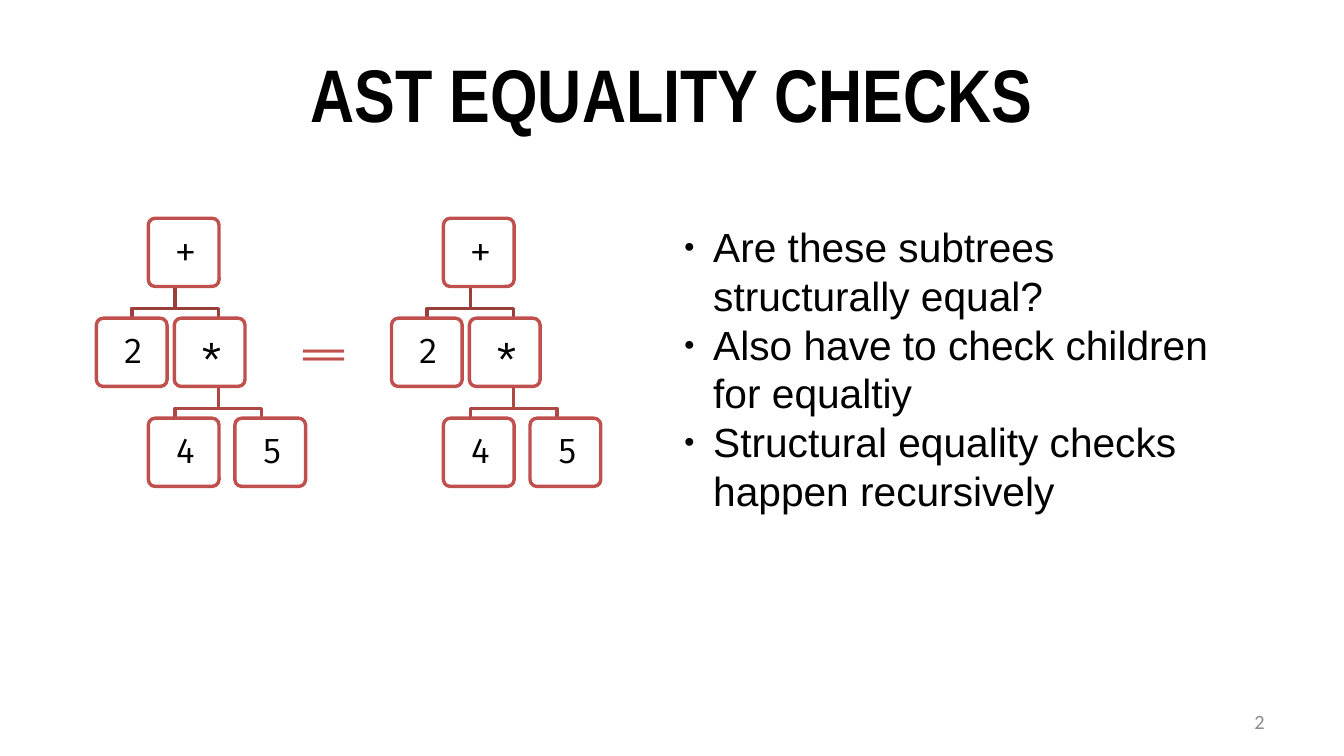
from typing import NamedTuple

from lxml.etree import SubElement
from pptx import Presentation
from pptx.dml.color import RGBColor
from pptx.enum.shapes import MSO_SHAPE as Shape
from pptx.enum.text import MSO_ANCHOR as Anchor, PP_ALIGN as Align
from pptx.oxml.ns import qn
from pptx.util import Inches, Pt

SLIDE_W, SLIDE_H = 11.02, 6.2
COL, ROW = 0.71, 0.82
NODE_W, NODE_H = 0.58, 0.56
ELBOW = 0.18
TREE_TOP = 1.79
TREE_LEFTS = (0.79, 3.21)
INK, RED, GREY, WHITE = "000000", "C0504D", "8B8B8B", "FFFFFF"
CODE = "Fira Code"


class Node(NamedTuple):
    label: str
    col: float
    row: int


class Link(NamedTuple):
    start: float
    end: float
    row: int
    color: str


class Label(NamedTuple):
    lines: tuple[str, ...]
    left: float
    top: float
    width: float
    height: float
    font: str
    size: int
    color: str = INK
    align: Align = Align.LEFT
    anchor: Anchor = Anchor.TOP
    bold: bool = False
    bullet: bool = False


NODES = (
    Node("+", 0.6, 0),
    Node("2", 0, 1),
    Node("*", 0.9, 1),
    Node("4", 0.6, 2),
    Node("5", 1.6, 2),
)
LINKS = (
    Link(1.41, 1.91, 1, "AE4845"),
    Link(1.41, 0.91, 1, "AE4845"),
    Link(0.91, 1.41, 0, "99403D"),
    Link(0.91, 0.41, 0, "99403D"),
)
BULLETS = (
    "Are these subtrees structurally equal?",
    "Also have to check children for equaltiy",
    "Structural equality checks happen recursively",
)
LABELS = (
    Label(("AST EQUALITY CHECKS",), 5, 4.03, 90, 16.6, "Arial Narrow", 44,
          align=Align.CENTER, anchor=Anchor.MIDDLE, bold=True),
    Label(("==",), 21.32, 42.58, 5.54, 8.23, CODE, 24, RED),
    Label(BULLETS, 50, 28.55, 41.1, 37.6, "Arial", 24, bullet=True),
    Label(("2",), 71.7, 92.74, 23.3, 5.32, "Calibri", 12, GREY,
          Align.RIGHT, Anchor.MIDDLE),
)


def rgb(color: str) -> RGBColor:
    return RGBColor.from_string(color)


def style(p, font: str, size: int, color: str, align: Align, bold: bool = False) -> None:
    p.alignment = align
    for r in p.runs:
        r.font.name, r.font.size, r.font.bold = font, Pt(size), bold
        r.font.color.rgb = rgb(color)


def outline(sp, color: str) -> None:
    sp.shadow.inherit = False
    sp.line.color.rgb = rgb(color)
    sp.line.width = Pt(2)


def add_bullet(p) -> None:
    pPr = p._p.get_or_add_pPr()
    pPr.set("marL", str(Inches(0.24)))
    pPr.set("indent", str(Inches(-0.24)))
    SubElement(SubElement(pPr, qn("a:buClr")), qn("a:srgbClr"), val=INK)
    SubElement(pPr, qn("a:buSzPct"), val="45000")
    SubElement(pPr, qn("a:buFont"), typeface="Arial")
    SubElement(pPr, qn("a:buChar"), char="●")


def draw_label(shapes, label: Label) -> None:
    sp = shapes.add_textbox(
        Inches(label.left * SLIDE_W / 100), Inches(label.top * SLIDE_H / 100),
        Inches(label.width * SLIDE_W / 100), Inches(label.height * SLIDE_H / 100))
    tf = sp.text_frame
    tf.word_wrap = True
    tf.vertical_anchor = label.anchor
    tf.text = "\n".join(label.lines)
    for p in tf.paragraphs:
        style(p, label.font, label.size, label.color, label.align, label.bold)
        if label.bullet:
            add_bullet(p)


def draw_link(shapes, link: Link, left: float) -> None:
    x1, x2 = left + link.start * COL, left + link.end * COL
    top = TREE_TOP + link.row * ROW + NODE_H
    bend, bottom = top + ELBOW, TREE_TOP + (link.row + 1) * ROW
    path = shapes.build_freeform(Inches(x1), Inches(top))
    path.add_line_segments(
        [(Inches(x), Inches(y)) for x, y in ((x1, bend), (x2, bend), (x2, bottom))],
        close=False)
    sp = path.convert_to_shape()
    sp.fill.background()
    outline(sp, link.color)


def draw_node(shapes, node: Node, left: float) -> None:
    sp = shapes.add_shape(
        Shape.ROUNDED_RECTANGLE,
        Inches(left + node.col * COL), Inches(TREE_TOP + node.row * ROW),
        Inches(NODE_W), Inches(NODE_H))
    sp.adjustments[0] = 0.1
    sp.fill.solid()
    sp.fill.fore_color.rgb = rgb(WHITE)
    outline(sp, RED)
    tf = sp.text_frame
    tf.margin_left = tf.margin_top = tf.margin_bottom = Inches(0.11)
    tf.margin_right = Inches(0.08)
    tf.vertical_anchor = Anchor.MIDDLE
    tf.text = node.label
    p = tf.paragraphs[0]
    p.line_spacing, p.space_after = 0.9, Pt(7)
    style(p, CODE, 20, INK, Align.CENTER)


def draw_tree(shapes, left: float) -> None:
    tree = shapes.add_group_shape().shapes
    for link in LINKS:
        draw_link(tree, link, left)
    for node in NODES:
        draw_node(tree, node, left)


def main() -> None:
    prs = Presentation()
    prs.slide_width, prs.slide_height = Inches(SLIDE_W), Inches(SLIDE_H)
    shapes = prs.slides.add_slide(prs.slide_layouts[6]).shapes
    for left in TREE_LEFTS:
        draw_tree(shapes, left)
    for label in LABELS:
        draw_label(shapes, label)
    prs.save("out.pptx")


if __name__ == "__main__":
    main()
